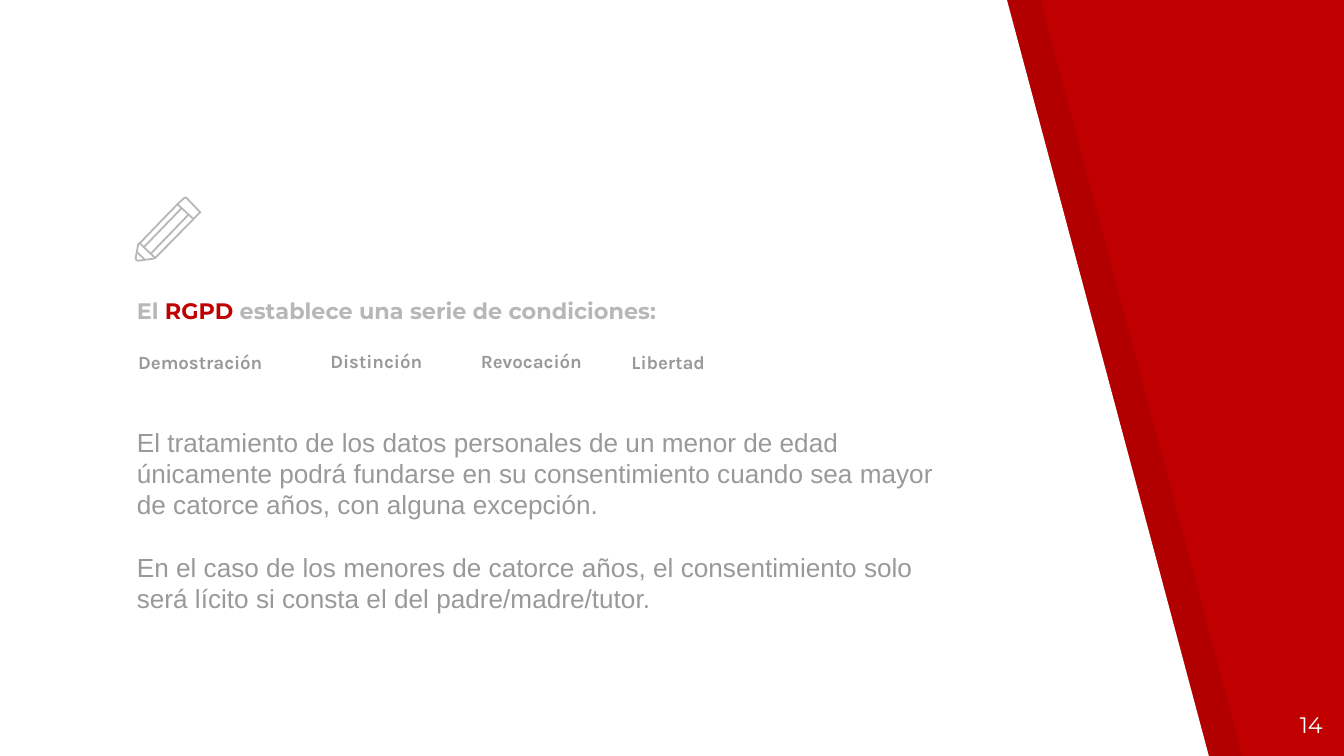
from pptx import Presentation
from pptx.dml.color import RGBColor
from pptx.enum.shapes import MSO_CONNECTOR as Connector
from pptx.enum.text import MSO_ANCHOR as Anchor, PP_ALIGN as Align
from pptx.oxml.ns import qn
from pptx.util import Inches, Pt
from lxml.etree import SubElement

WIDTH = 10
HEIGHT = WIDTH * 9 / 16
RED, WHITE, SILVER, GREY = "C00000", "FFFFFF", "B7B7B7", "999999"
LEFT = 0.92  # shared left edge of the text


def color(hex_text):
    return RGBColor.from_string(hex_text)


def outline(page, points, closed=True):
    corners = [(Inches(x), Inches(y)) for x, y in points]
    builder = page.shapes.build_freeform(*corners[0])
    builder.add_line_segments(corners[1:], close=closed)
    shape = builder.convert_to_shape()
    shape.shadow.inherit = False
    return shape


def add_text(page, box, paragraphs, size, font, bold=False, inset=0.1,
             anchor=Anchor.TOP, align=Align.LEFT, before=0, spacing=None):
    """Each paragraph is a list of (text, colour) runs."""
    frame = page.shapes.add_textbox(*map(Inches, box)).text_frame
    frame.word_wrap = True
    frame.vertical_anchor = anchor
    frame.margin_left = frame.margin_right = Inches(0.1)
    frame.margin_top = frame.margin_bottom = Inches(inset)
    for index, runs in enumerate(paragraphs):
        para = frame.add_paragraph() if index else frame.paragraphs[0]
        para.alignment = align
        para.space_before = Pt(before)
        if spacing:
            para.line_spacing = Pt(spacing)
        for text, hex_text in runs:
            span = para.add_run()
            span.text = text
            span.font.size, span.font.name, span.font.bold = Pt(size), font, bold
            span.font.color.rgb = color(hex_text)


def draw_backdrop(page, box):
    """Red page with a white slanted panel and its translucent edge."""
    page.background.fill.solid()
    page.background.fill.fore_color.rgb = color(RED)
    left, top, width, height = box
    for shift, hex_text, alpha in ((0.25, "000000", 7), (0, WHITE, 100)):
        start = left + shift
        panel = outline(page, [(start, top), (start, top + height),
                               (start + 0.9 * width, top + height),
                               (start + 0.749 * width, top)])
        panel.fill.solid()
        panel.fill.fore_color.rgb = color(hex_text)
        panel.line.fill.background()
        if alpha < 100:
            tint = panel._element.spPr.find(qn("a:solidFill"))[0]
            SubElement(tint, qn("a:alpha"), val=str(alpha * 1000))


def draw_pencil(page, box):
    """Pencil icon on a 48-by-47 grid."""
    left, top, width, height = box

    def place(x, y):
        return left + x * width / 48, top + y * height / 47

    eraser = [(47, 10), (38, 0.5), (37, 0), (36, 0.5), (31, 5), (43, 16),
              (47, 12), (48, 11)]
    body = [(31, 5), (3, 34), (2, 34.5), (0, 45), (0.5, 46.5), (2, 47),
            (13, 45.5), (14.5, 45), (43, 16)]
    collar = [(3, 34), (14.5, 45)]
    for points, closed in ((eraser, True), (body, False)):
        part = outline(page, [place(*point) for point in points], closed)
        part.fill.background()
        part.line.color.rgb = color(SILVER)
        part.line.width = Pt(0.96)

    # Grooves, tip and collar
    for start, end in (((39, 13), (11, 42)), ((6, 37), (34, 8)),
                       ((6.5, 46), (1.5, 41)), collar):
        ends = [Inches(value) for value in place(*start) + place(*end)]
        line = page.shapes.add_connector(Connector.STRAIGHT, *ends)
        line.line.color.rgb = color(SILVER)
        line.line.width = Pt(0.96)
        SubElement(line._element.spPr, qn("a:effectLst"))


def add_conditions(page, box):
    """Heading with a row of four conditions below it."""
    left, top, width, height = box
    heading = [("El ", SILVER), ("RGPD", RED),
               (" establece una serie de condiciones:", SILVER)]
    add_text(page, (left, top, width, height), [heading], 12, "Montserrat",
             bold=True, anchor=Anchor.BOTTOM)
    x = left + 0.01
    for label, column, drop in (("Demostración", 1.43, 0.02),
                                ("Distinción", 1.12, 0.01),
                                ("Revocación", 1.12, 0.01),
                                ("Libertad", 0.79, 0.02)):
        add_text(page, (x, top + height + drop, column, 0.6),
                 [[(label, GREY)]], 10, "Karla", bold=True, before=6)
        x += column


def add_explanation(page, box):
    texts = (
        "El tratamiento de los datos personales de un menor de edad únicamente "
        "podrá fundarse en su consentimiento cuando sea mayor de catorce años, "
        "con alguna excepción.",
        "En el caso de los menores de catorce años, el consentimiento solo será "
        "lícito si consta el del padre/madre/tutor.",
    )
    add_text(page, box, [[(text, GREY)] for text in texts], 14, "Arial",
             inset=0.05, before=16.8, spacing=16.8)


def add_page_number(page, box):
    add_text(page, box, [[("14", WHITE)]], 12, "Montserrat", align=Align.RIGHT)


def main():
    deck = Presentation()
    deck.slide_width, deck.slide_height = Inches(WIDTH), Inches(HEIGHT)
    page = deck.slides.add_slide(deck.slide_layouts[6])
    draw_backdrop(page, (0, -0.01, WIDTH, HEIGHT + 0.03))
    add_conditions(page, (LEFT, 2.06, 5.25, 0.45))
    draw_pencil(page, (LEFT + 0.09, 1.47, 0.48, 0.47))
    add_page_number(page, (9.34, 5.19, 0.6, 0.43))
    add_explanation(page, (LEFT, 3.12, 6.34, 1.51))
    deck.save("out.pptx")


if __name__ == "__main__":
    main()
